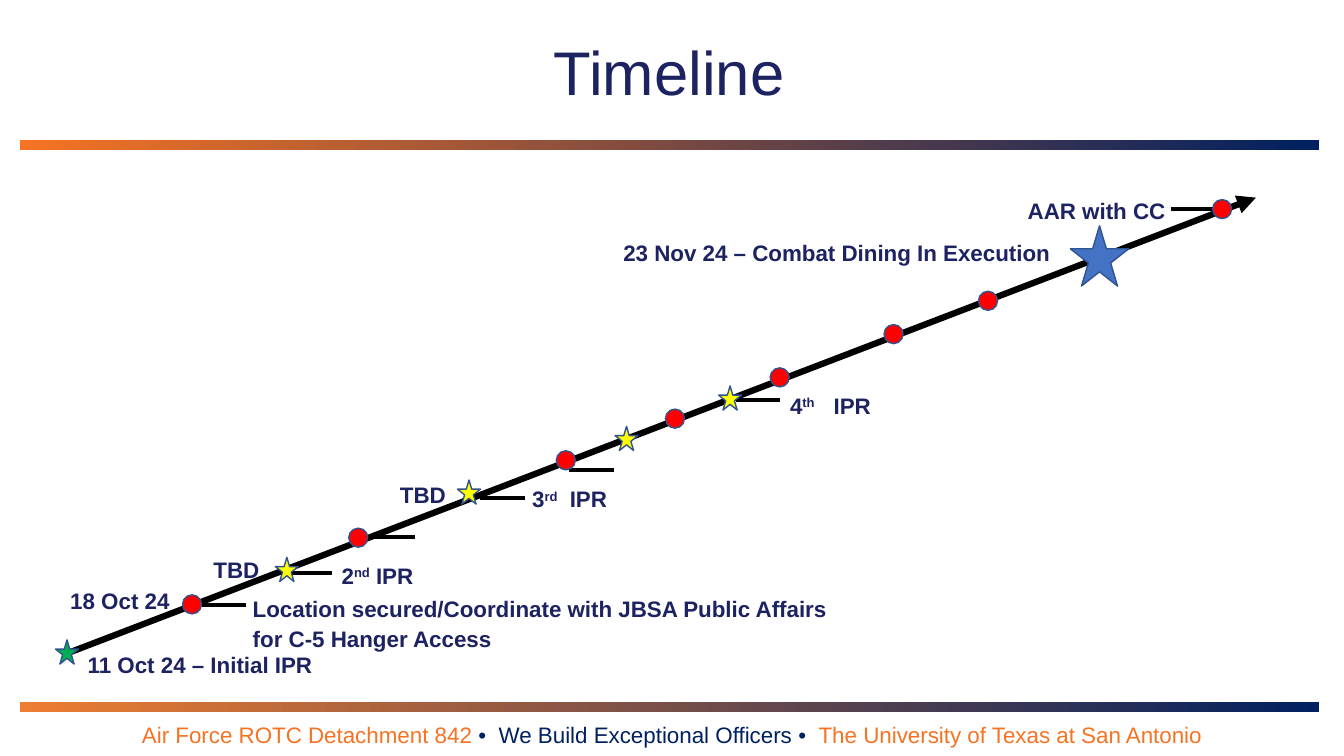
from dataclasses import dataclass

from lxml import etree
from pptx import Presentation
from pptx.dml.color import RGBColor
from pptx.enum.shapes import MSO_CONNECTOR, MSO_SHAPE
from pptx.enum.text import MSO_ANCHOR, MSO_AUTO_SIZE, PP_ALIGN
from pptx.oxml.ns import qn
from pptx.util import Cm, Pt

STRAIGHT = MSO_CONNECTOR.STRAIGHT
RECTANGLE, OVAL, STAR = MSO_SHAPE.RECTANGLE, MSO_SHAPE.OVAL, MSO_SHAPE.STAR_5_POINT
LEFT, CENTER, RIGHT = PP_ALIGN.LEFT, PP_ALIGN.CENTER, PP_ALIGN.RIGHT
TOP, BOTTOM = MSO_ANCHOR.TOP, MSO_ANCHOR.BOTTOM
FIT_SHAPE = MSO_AUTO_SIZE.SHAPE_TO_FIT_TEXT


@dataclass(frozen=True)
class Theme:
    font: str = "Arial"
    title_size: int = 44
    text_size: int = 16
    ink: str = "1D2260"
    navy: str = "002060"
    orange: str = "F57322"
    amber: str = "ED7D31"
    black: str = "000000"
    outline: str = "31538F"
    task: str = "FF0000"
    review: str = "FFFF00"
    start: str = "00B050"
    event: str = "4472C4"


def rgb(code):
    return RGBColor.from_string(code)


class TimelineSlide:
    def __init__(self, slide, theme):
        self.shapes = slide.shapes
        self.theme = theme

    def bar(self, top, start_color):
        band = self.shapes.add_shape(RECTANGLE, Cm(0.51), Cm(top), Cm(32.74), Cm(0.25))
        band.shadow.inherit = False
        band.line.fill.background()
        band.fill.gradient()
        band.fill.gradient_angle = 0
        for stop, color in zip(band.fill.gradient_stops, (start_color, self.theme.navy)):
            stop.color.rgb = rgb(color)

    def line(self, start, end, width, arrow=False):
        stroke = self.shapes.add_connector(STRAIGHT, *map(Cm, start + end))
        stroke.line.color.rgb = rgb(self.theme.black)
        stroke.line.width = Pt(width)
        if arrow:
            etree.SubElement(stroke.line._get_or_add_ln(), qn("a:tailEnd"), type="triangle")
        etree.SubElement(stroke._element.spPr, qn("a:effectLst"))

    def marker(self, kind, center, size, color):
        (x, y), (width, height) = center, size
        mark = self.shapes.add_shape(
            kind, Cm(x - width / 2), Cm(y - height / 2), Cm(width), Cm(height))
        mark.shadow.inherit = False
        mark.fill.solid()
        mark.fill.fore_color.rgb = rgb(color)
        mark.line.color.rgb = rgb(self.theme.outline)
        mark.line.width = Pt(1)

    def text_box(self, box, align=LEFT, anchor=TOP):
        """Add an empty wrapping text box and return its first paragraph."""
        frame = self.shapes.add_textbox(*map(Cm, box)).text_frame
        frame.word_wrap = True
        frame.auto_size = FIT_SHAPE
        frame.vertical_anchor = anchor
        paragraph = frame.paragraphs[0]
        paragraph.alignment = align
        return paragraph

    def run(self, paragraph, text, color, size=None, bold=False):
        piece = paragraph.add_run()
        piece.text = text
        piece.font.name = self.theme.font
        piece.font.size = Pt(size or self.theme.text_size)
        piece.font.bold = bold
        piece.font.color.rgb = rgb(color)
        return piece

    def label(self, text, box, align=LEFT):
        paragraph = self.text_box(box, align)
        paragraph.line_spacing = 1.15
        self.run(paragraph, text, self.theme.ink, bold=True)
        return paragraph

    def review_label(self, number, ordinal, rest, left, top, tab=None):
        """Label a review, with its ordinal raised and an optional tab stop in cm."""
        paragraph = self.label(number, (left, top, 8.89, 1.04))
        if tab:
            stops = etree.SubElement(paragraph._p.get_or_add_pPr(), qn("a:tabLst"))
            etree.SubElement(stops, qn("a:tab"), pos=str(Cm(tab)), algn="l")
        raised = self.run(paragraph, ordinal, self.theme.ink, bold=True)
        raised._r.get_or_add_rPr().set("baseline", "30000")
        self.run(paragraph, rest, self.theme.ink, bold=True)

    def title(self, text):
        paragraph = self.text_box((6.4, 0.74, 20.93, 2.13), CENTER)
        self.run(paragraph, text, self.theme.ink, self.theme.title_size)

    def footer(self, parts):
        """Join (text, color) parts with widely spaced bullets."""
        paragraph = self.text_box((0, 18.03, 33.87, 0.94), CENTER, BOTTOM)
        for index, (text, color) in enumerate(parts):
            if index:
                bullet = self.run(paragraph, "• ", self.theme.navy)
                bullet._r.get_or_add_rPr().set("spc", "220")
            self.run(paragraph, text, color)


def main():
    deck = Presentation()
    deck.slide_width, deck.slide_height = Cm(33.87), Cm(19.05)
    theme = Theme()
    page = TimelineSlide(deck.slides.add_slide(deck.slide_layouts[6]), theme)

    page.title("Timeline")
    page.bar(3.53, theme.orange)
    page.bar(17.7, theme.amber)
    page.footer([
        ("Air Force ROTC Detachment 842 ", theme.orange),
        ("We Build Exceptional Officers ", theme.navy),
        ("The University of Texas at San Antonio", theme.orange),
    ])

    page.line((1.57, 16.51), (31.65, 4.98), 4.5, arrow=True)
    ticks = [(5.08, 15.24), (7.24, 14.43), (9.32, 13.54), (12.09, 12.55),
             (14.35, 11.84), (18.54, 10.08), (29.51, 5.26)]
    for x, y in ticks:
        page.line((x, y), (x + 1.13, y), 3)

    tasks = [(4.84, 15.23), (9.03, 13.55), (14.26, 11.6), (17.01, 10.55),
             (19.65, 9.51), (22.52, 8.42), (24.9, 7.58), (30.8, 5.27)]
    for center in tasks:
        page.marker(OVAL, center, (0.48, 0.48), theme.task)

    star_size = (0.58, 0.61)
    page.marker(STAR, (1.69, 16.43), star_size, theme.start)
    for center in [(7.23, 14.35), (11.82, 12.4), (15.79, 11.05), (18.4, 10.03)]:
        page.marker(STAR, center, star_size, theme.review)
    page.marker(STAR, (27.71, 6.45), (1.47, 1.52), theme.event)

    page.label("11 Oct 24 – Initial IPR", (1.96, 16.18, 8.89, 0.97))
    page.label("18 Oct 24", (1.52, 14.58, 3.33, 0.97))
    page.label("Location secured/Coordinate with JBSA Public Affairs for C-5 Hanger Access",
               (6.12, 14.76, 15.09, 1.75))
    for left, top in [(5.13, 13.79), (9.83, 11.91)]:
        page.label("TBD", (left, top, 3.33, 0.97))
    page.review_label("2", "nd", " IPR", 8.36, 13.94)
    page.review_label("3", "rd", "\tIPR", 13.16, 12.01, tab=0.95)
    page.review_label("4", "th", "\tIPR", 19.66, 9.65, tab=1.1)
    page.label("23 Nov 24 – Combat Dining In Execution", (14.35, 5.79, 12.37, 0.97), RIGHT)
    page.label("AAR with CC", (25.65, 4.75, 4.29, 1.04))

    deck.save("out.pptx")


if __name__ == "__main__":
    main()
